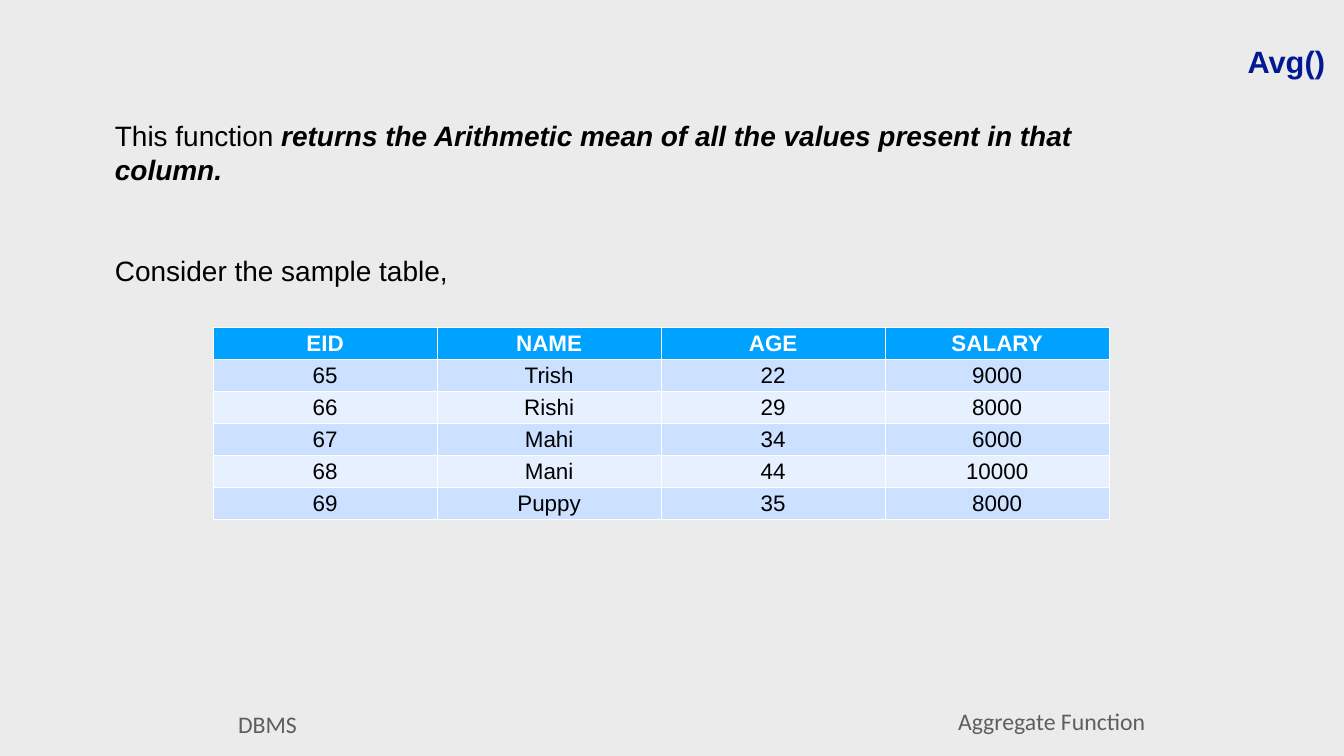
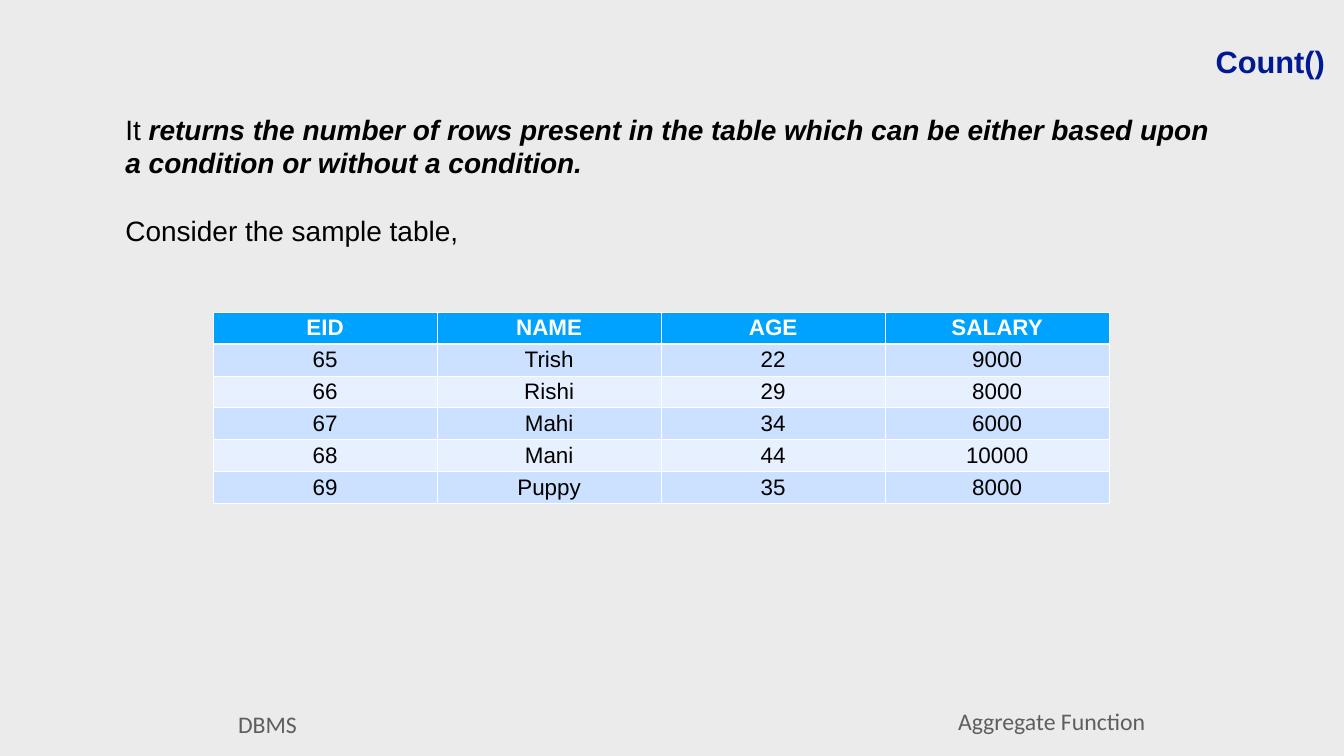
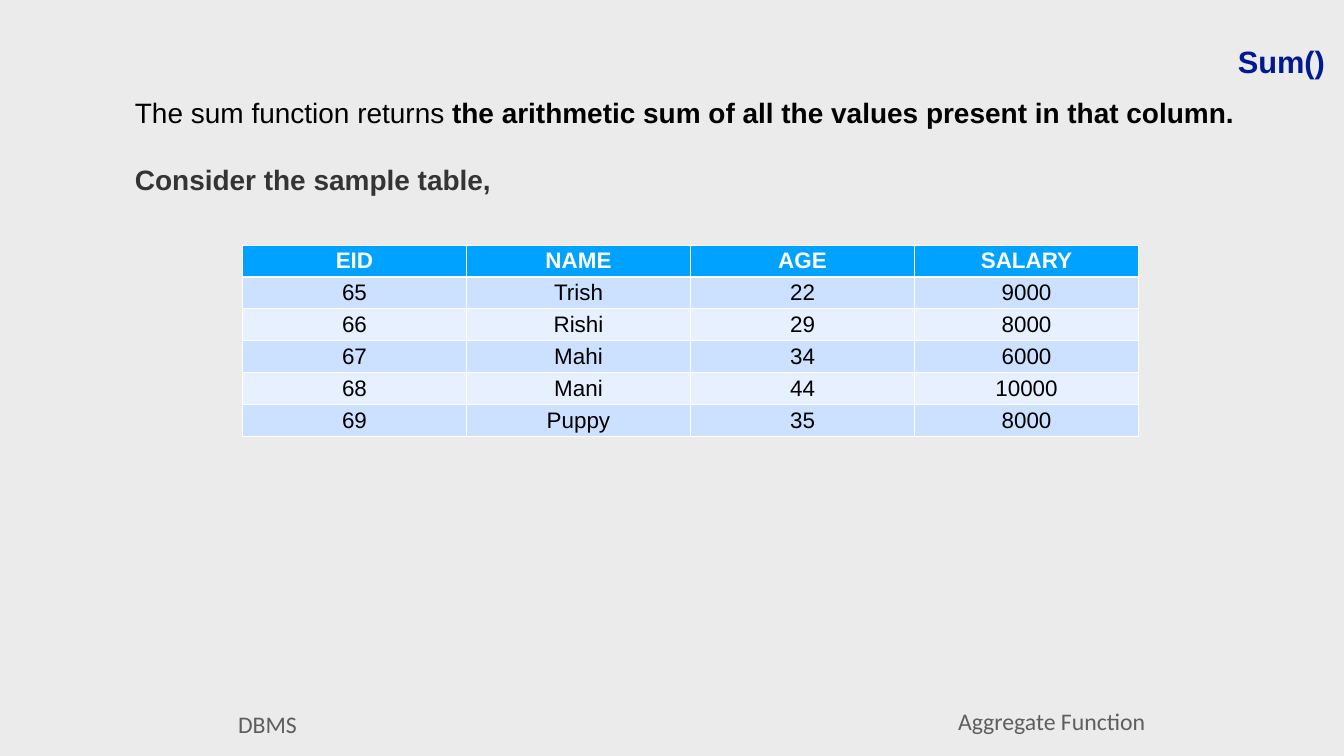
"""Build three slides on the SQL aggregate functions Avg, Count and Sum."""
from lxml.etree import SubElement
from pptx import Presentation
from pptx.dml.color import RGBColor
from pptx.enum.shapes import MSO_SHAPE
from pptx.enum.text import MSO_ANCHOR, PP_ALIGN
from pptx.oxml.ns import qn
from pptx.util import Cm, Pt

COLOURS = {
    "background": "EBEBEB",
    "title": "011993",
    "body": "000000",
    "soft": "343434",
    "footer": "5E5E5E",
    "white": "FFFFFF",
    "header": "00A2FF",
    "odd_row": "CCE0FF",
    "even_row": "E7F0FF",
}
FORMATS = {
    "footer": {"name": "Calibri", "size": Pt(34), "color": "footer"},
    "title": {"name": "Arial", "size": Pt(44), "bold": True, "color": "title"},
    "plain": {"name": "Arial", "size": Pt(40), "color": "body"},
    "strong": {"name": "Arial", "size": Pt(40), "bold": True, "color": "body"},
    "emphasis": {"name": "Arial", "size": Pt(40), "bold": True, "italic": True, "color": "body"},
    "soft": {"name": "Arial", "size": Pt(40), "bold": True, "color": "soft"},
    "heading": {"name": "Arial", "size": Pt(32), "bold": True, "color": "white"},
    "value": {"name": "Arial", "size": Pt(32), "bold": False, "color": "body"},
}
FOOTERS = [("DBMS", 1.07, 35.48), ("Aggregate Function", 40.59, 35.33)]
LINE_PITCH = 48
COLUMN_WIDTH, ROW_HEIGHT = 11.29, 1.61
EMPLOYEES = [
    ("EID", "NAME", "AGE", "SALARY"),
    ("65", "Trish", "22", "9000"),
    ("66", "Rishi", "29", "8000"),
    ("67", "Mahi", "34", "6000"),
    ("68", "Mani", "44", "10000"),
    ("69", "Puppy", "35", "8000"),
]
SAMPLE = "Consider the sample table,"
TOPICS = [
    {
        "title": "Avg()",
        "definition": [
            ("This function ", "plain"),
            ("returns the Arithmetic mean of all the values present in that column.", "emphasis"),
        ],
        "sample_style": "plain",
        "gap_lines": 2,
        "body_box": (5.54, 5.87, 54.25, 10.52),
        "table_corner": (10.74, 16.51),
    },
    {
        "title": "Count()",
        "definition": [
            ("It ", "plain"),
            ("returns the number of rows present in the table which can be either "
             "based upon a condition or without a condition.", "emphasis"),
        ],
        "sample_style": "plain",
        "gap_lines": 1,
        "body_box": (6.07, 5.54, 55.7, 8.81),
        "table_corner": (10.74, 15.72),
    },
    {
        "title": "Sum()",
        "definition": [
            ("The sum function returns ", "plain"),
            ("the arithmetic sum of all the values present in that column.", "strong"),
        ],
        "sample_style": "soft",
        "gap_lines": 1,
        "body_box": (6.55, 4.7, 56.52, 7.09),
        "table_corner": (12.22, 12.34),
    },
]


def rgb(key):
    return RGBColor.from_string(COLOURS[key])


class Deck:
    def __init__(self):
        self.presentation = Presentation()
        self.presentation.slide_width = Cm(67.73)
        self.presentation.slide_height = Cm(38.1)
        self.slide = None

    def new_slide(self):
        self.slide = self.presentation.slides.add_slide(self.presentation.slide_layouts[6])
        backdrop = self.slide.background.fill
        backdrop.solid()
        backdrop.fore_color.rgb = rgb("background")
        for label, left, top in FOOTERS:
            self.footer(label, left, top)

    def styled_run(self, paragraph, text, style):
        run = paragraph.add_run()
        run.text = text
        for attribute, value in FORMATS[style].items():
            if attribute == "color":
                run.font.color.rgb = rgb(value)
            else:
                setattr(run.font, attribute, value)

    def set_frame(self, frame, inset):
        settings = {"word_wrap": True, "vertical_anchor": MSO_ANCHOR.MIDDLE}
        for side in ("left", "top", "right", "bottom"):
            settings[f"margin_{side}"] = Cm(inset)
        for attribute, value in settings.items():
            setattr(frame, attribute, value)

    def footer(self, label, left, top):
        band = self.slide.shapes.add_shape(
            MSO_SHAPE.RECTANGLE, Cm(left), Cm(top), Cm(24.82), Cm(1.98))
        band.shadow.inherit = False
        band.fill.solid()
        band.fill.fore_color.rgb = rgb("background")
        band.line.fill.background()
        self.set_frame(band.text_frame, 0)
        paragraph = band.text_frame.paragraphs[0]
        paragraph.alignment = PP_ALIGN.CENTER
        self.styled_run(paragraph, label, "footer")

    def title(self, text):
        heading = self.slide.shapes.add_textbox(Cm(24.71), Cm(1.98), Cm(42.21), Cm(2.16))
        self.set_frame(heading.text_frame, 0.14)
        paragraph = heading.text_frame.paragraphs[0]
        paragraph.alignment = PP_ALIGN.RIGHT
        self.styled_run(paragraph, text, "title")

    def body(self, box, definition, sample_style, gap_lines):
        frame = self.slide.shapes.add_textbox(*map(Cm, box)).text_frame
        frame.word_wrap = True
        explanation, lead_in = frame.paragraphs[0], frame.add_paragraph()
        for paragraph in (explanation, lead_in):
            paragraph.line_spacing = Pt(LINE_PITCH)
        for text, style in definition:
            self.styled_run(explanation, text, style)
        lead_in.space_before = Pt(LINE_PITCH * gap_lines)
        self.styled_run(lead_in, SAMPLE, sample_style)

    def borders(self, cell, bottom_width):
        properties = cell._tc.get_or_add_tcPr()
        for side, width in (("L", 1), ("R", 1), ("T", 1), ("B", bottom_width)):
            edge = SubElement(properties, qn(f"a:ln{side}"), w=str(Pt(width)))
            paint = SubElement(edge, qn("a:solidFill"))
            SubElement(paint, qn("a:srgbClr"), val=COLOURS["white"])

    def table(self, rows, corner):
        left, top = corner
        grid = self.slide.shapes.add_table(
            len(rows), len(rows[0]), Cm(left), Cm(top),
            Cm(COLUMN_WIDTH * len(rows[0])), Cm(ROW_HEIGHT * len(rows))).table
        for r, record in enumerate(rows):
            grid.rows[r].height = Cm(ROW_HEIGHT)
            band = "header" if r == 0 else "odd_row" if r % 2 else "even_row"
            for c, entry in enumerate(record):
                cell = grid.cell(r, c)
                self.borders(cell, 1 if r else 3)
                cell.fill.solid()
                cell.fill.fore_color.rgb = rgb(band)
                cell.vertical_anchor = MSO_ANCHOR.MIDDLE
                paragraph = cell.text_frame.paragraphs[0]
                paragraph.alignment = PP_ALIGN.CENTER
                self.styled_run(paragraph, entry, "value" if r else "heading")


def main():
    deck = Deck()
    for topic in TOPICS:
        deck.new_slide()
        deck.title(topic["title"])
        deck.body(topic["body_box"], topic["definition"],
                  topic["sample_style"], topic["gap_lines"])
        deck.table(EMPLOYEES, topic["table_corner"])
    deck.presentation.save("out.pptx")


if __name__ == "__main__":
    main()
